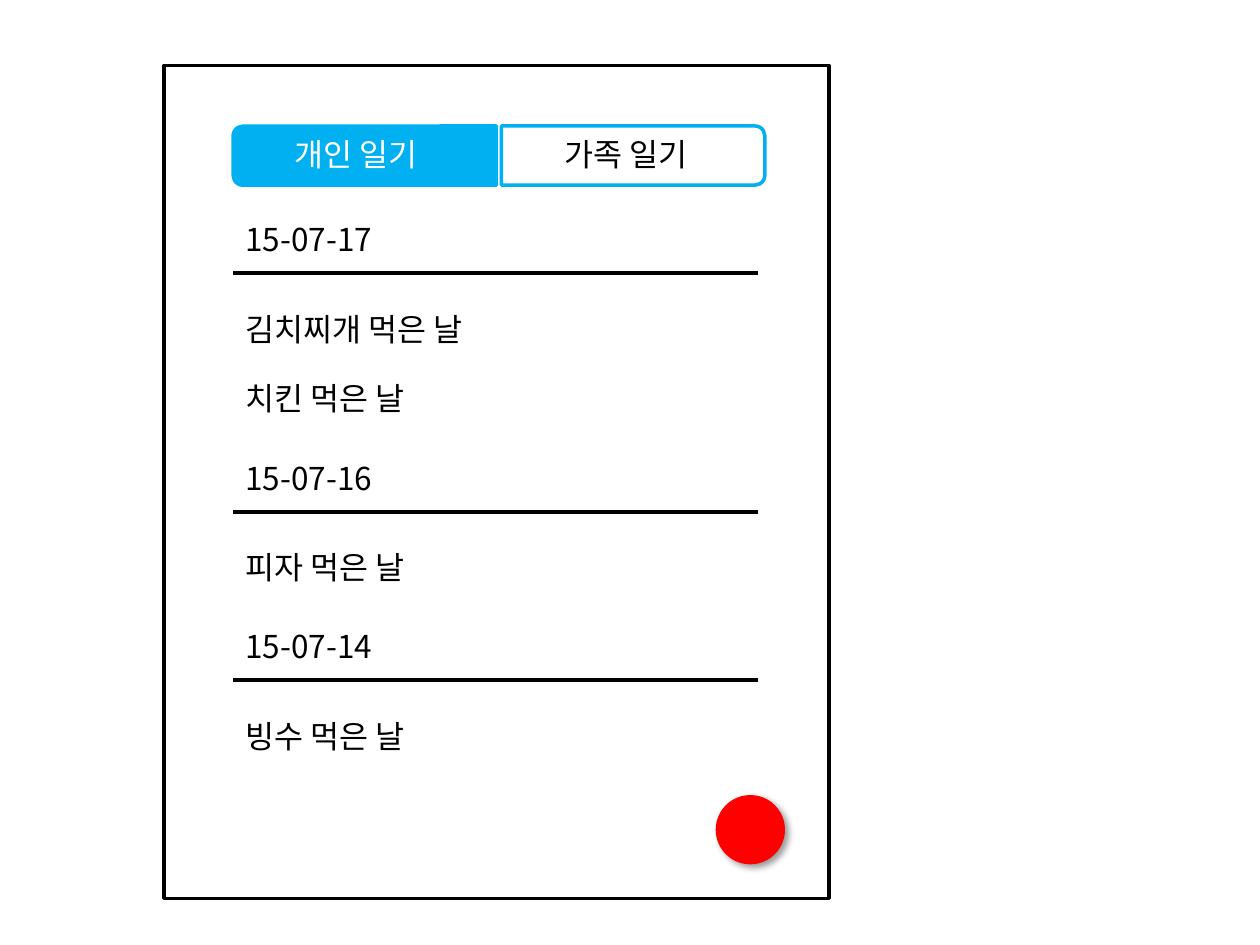
import pptx
import pptx.dml.color
import pptx.enum.shapes
import pptx.enum.text
import pptx.oxml
import pptx.oxml.ns
import pptx.util
from lxml import etree

Inches = pptx.util.Inches
Pt = pptx.util.Pt
SHAPE = pptx.enum.shapes.MSO_SHAPE
qn = pptx.oxml.ns.qn

COLORS = {"ink": "000000", "paper": "FFFFFF", "blue": "00B0F0", "red": "FF0000"}
FONT = "Noto Sans CJK KR"


def rgb(name):
    """Return the named palette colour."""
    return pptx.dml.color.RGBColor.from_string(COLORS[name])


class Screen:
    """Draws styled elements on one slide."""

    def __init__(self, slide):
        """Keep the slide and the text style."""
        self.s = slide
        self.font = {"name": FONT, "size": Pt(18)}
        self.frame = {"word_wrap": False,
                      "auto_size": pptx.enum.text.MSO_AUTO_SIZE.SHAPE_TO_FIT_TEXT}

    def shape(self, kind, box, fill, line=None, rotation=0):
        """Add a filled shape with an optional outline."""
        sp = self.s.shapes.add_shape(kind, *map(Inches, box))
        sp.shadow.inherit = False
        sp.rotation = rotation
        sp.fill.solid()
        sp.fill.fore_color.rgb = rgb(fill)
        if line:
            sp.line.color.rgb = rgb(line)
            sp.line.width = Pt(2)
        else:
            sp.line.fill.background()
        return sp

    def text(self, x, y, width, words, color="ink"):
        """Add one line of text."""
        sp = self.s.shapes.add_textbox(*map(Inches, (x, y, width, 0.4)))
        tf = sp.text_frame
        for key, value in self.frame.items():
            setattr(tf, key, value)
        r = tf.paragraphs[0].add_run()
        r.text = words
        r.font.color.rgb = rgb(color)
        for key, value in self.font.items():
            setattr(r.font, key, value)
        etree.SubElement(r._r.get_or_add_rPr(), qn("a:ea"), typeface=FONT)

    def rule(self, x1, x2, y):
        """Add a horizontal line without a shadow."""
        ends = map(Inches, (x1, y, x2, y))
        line = self.s.shapes.add_connector(pptx.enum.shapes.MSO_CONNECTOR.STRAIGHT, *ends)
        line.line.color.rgb = rgb("ink")
        line.line.width = Pt(2.25)
        etree.SubElement(line._element.spPr, qn("a:effectLst"))

    def button(self, x, y, size):
        """Add a round button with a soft drop shadow."""
        sp = self.shape(SHAPE.OVAL, (x, y, size, size), "red")
        effects = sp._element.spPr.find(qn("a:effectLst"))
        shadow = etree.SubElement(effects, qn("a:outerShdw"), blurRad=str(Pt(4)),
                                  dist=str(Pt(3)), dir="2700000", algn="tl",
                                  rotWithShape="0")
        color = etree.SubElement(shadow, qn("a:srgbClr"), val=COLORS["ink"])
        etree.SubElement(color, qn("a:alpha"), val="40000")


LEFT, RIGHT = 1.85, 6.02
TABS = [("개인 일기", 2.66, 270, "blue", "paper", 2.24),
        ("가족 일기", 4.79, 90, "paper", "ink", 4.38)]
DIARY = [("15-07-17", [("김치찌개 먹은 날", 2.15), ("치킨 먹은 날", 1.64)]),
         ("15-07-16", [("피자 먹은 날", 1.64)]),
         ("15-07-14", [("빙수 먹은 날", 1.64)])]

prs = pptx.Presentation()
prs.slide_width, prs.slide_height = Inches(10), Inches(7.5)
screen = Screen(prs.slides.add_slide(prs.slide_layouts[6]))

screen.shape(SHAPE.RECTANGLE, (1.3, 0.52, 5.28, 6.61), "paper", "ink")
for words, x, turn, fill, ink, text_x in TABS:
    screen.shape(SHAPE.ROUND_2_SAME_RECTANGLE, (x, 0.19, 0.47, 2.09), fill, "blue", turn)
    screen.text(text_x, 1.02, 1.3, words, ink)

y = 1.7
for date, entries in DIARY:
    screen.text(LEFT, y, 1.24, date)
    screen.rule(LEFT, RIGHT, y + 0.47)
    for i, (words, width) in enumerate(entries):
        y += 0.55 if i else 0.71
        screen.text(LEFT, y, width, words)
    y += 0.63

screen.button(5.68, 6.31, 0.55)
prs.save("out.pptx")
